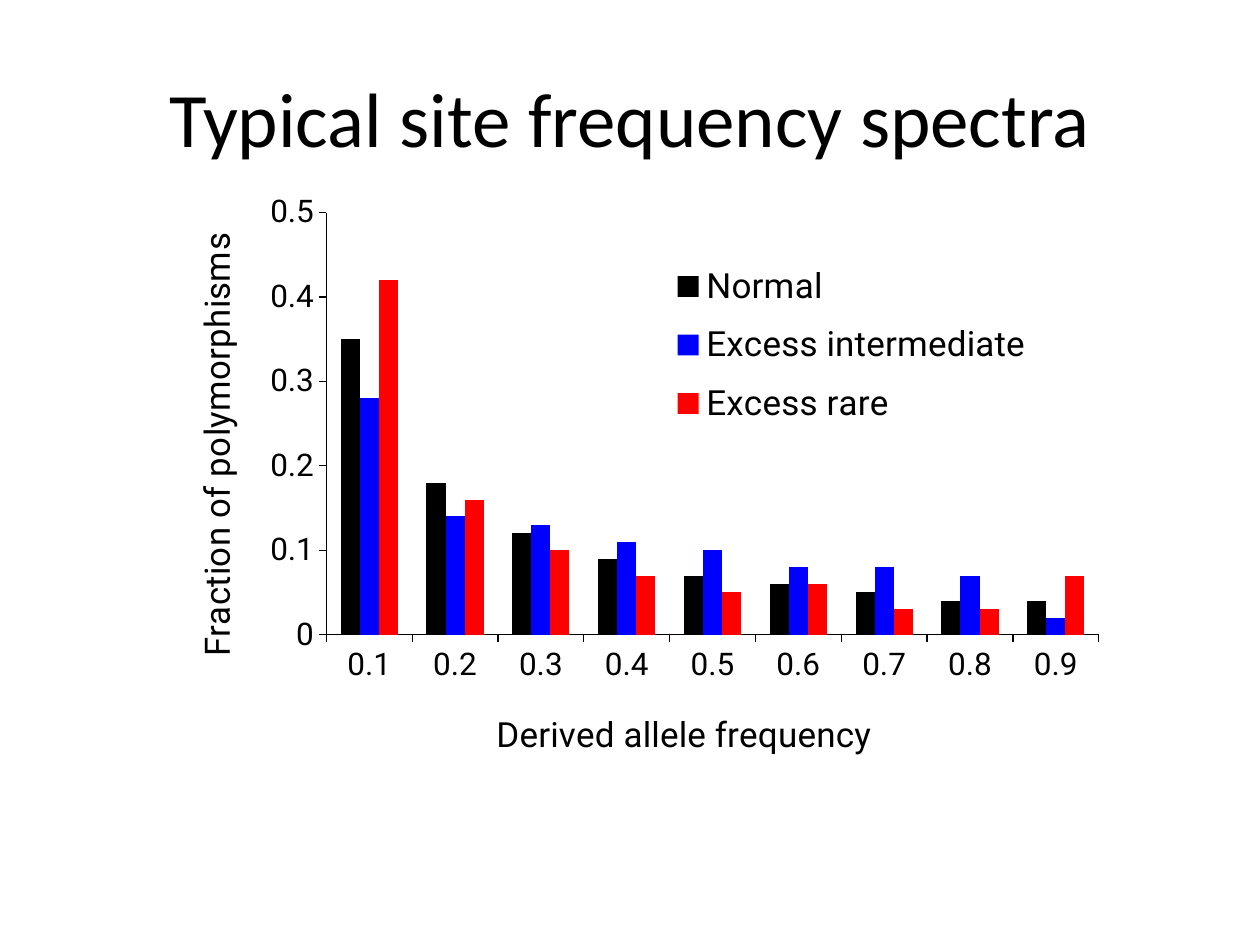
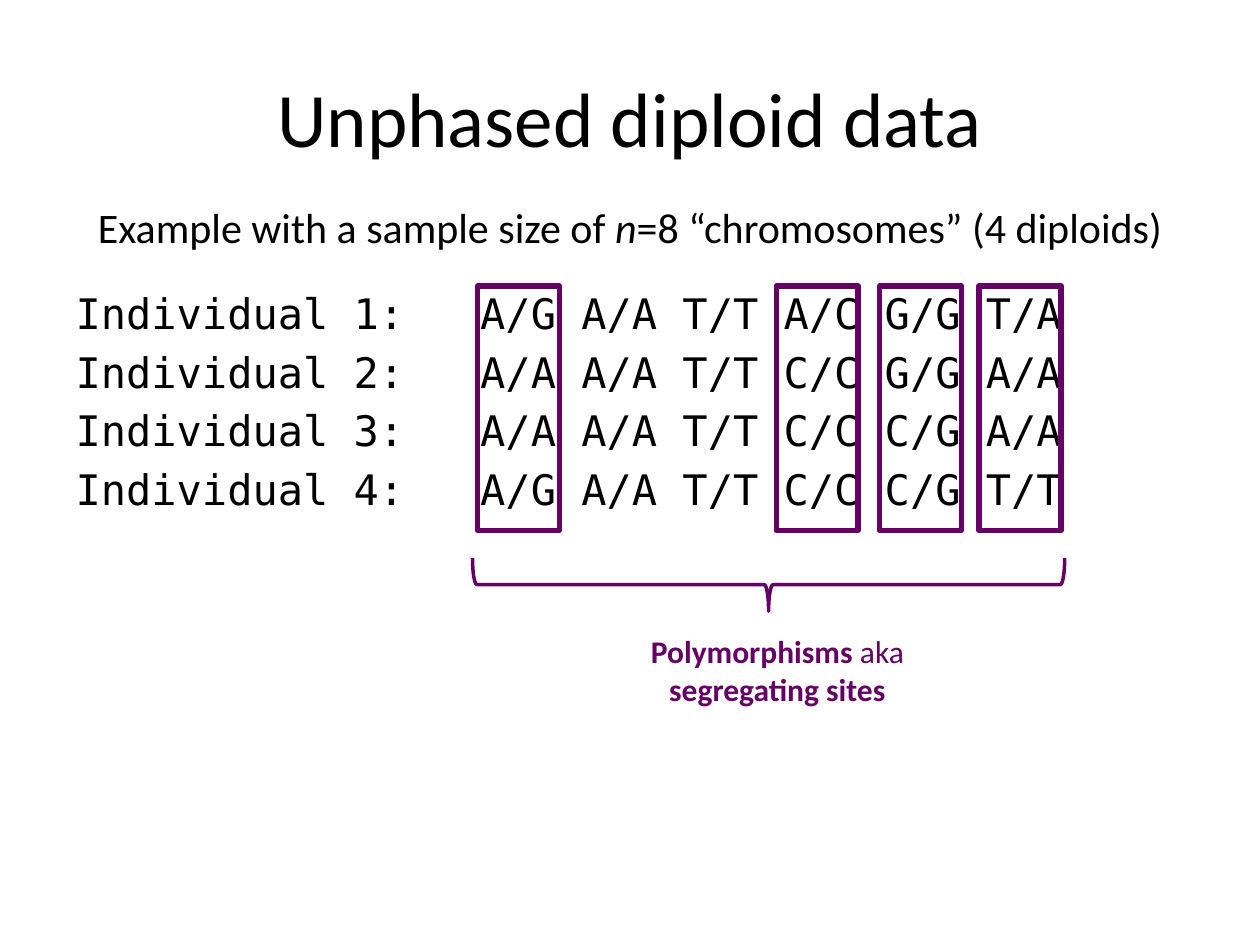
from lxml.etree import SubElement
from pptx import Presentation
from pptx.chart.data import CategoryChartData
from pptx.dml.color import RGBColor
from pptx.enum.chart import XL_CHART_TYPE, XL_LEGEND_POSITION, XL_TICK_MARK
from pptx.enum.shapes import MSO_SHAPE
from pptx.enum.text import MSO_ANCHOR, PP_ALIGN
from pptx.oxml import parse_xml
from pptx.oxml.ns import nsdecls, qn
from pptx.util import Inches, Pt

BLACK, BLUE, RED, PURPLE = "000000", "0000FF", "FF0000", "660066"
TEXT_FONT, CODE_FONT, CHART_FONT = "Calibri", "DejaVu Sans Mono", "Roboto"
CONTENT_LAYOUT, TITLE_ONLY_LAYOUT = 1, 5
CHART_WIDTH, CHART_HEIGHT = 7.64, 4.68
COLUMN_GAP = 28.9  # points added after each label, two characters wide

FREQUENCIES = [f"0.{tenth}" for tenth in range(1, 10)]
SPECTRA = [
    ("Normal", BLACK, (0.35, 0.18, 0.12, 0.09, 0.07, 0.06, 0.05, 0.04, 0.04)),
    ("Excess intermediate", BLUE, (0.28, 0.14, 0.13, 0.11, 0.1, 0.08, 0.08, 0.07, 0.02)),
    ("Excess rare", RED, (0.42, 0.16, 0.1, 0.07, 0.05, 0.06, 0.03, 0.03, 0.07)),
]
GENOTYPES = [
    "A/G A/A T/T A/C G/G T/A",
    "A/A A/A T/T C/C G/G A/A",
    "A/A A/A T/T C/C C/G A/A",
    "A/G A/A T/T C/C C/G T/T",
]
POLYMORPHIC_LEFTS = (3.79, 6.16, 6.98, 7.77)


def color(hex_string):
    return RGBColor.from_string(hex_string)


def place(shape, left, top, width, height):
    shape.left, shape.top = Inches(left), Inches(top)
    shape.width, shape.height = Inches(width), Inches(height)


def set_font(font, name, size, hex_string=BLACK):
    font.name, font.size = name, Pt(size)
    font.color.rgb = color(hex_string)


def add_titled_slide(presentation, layout, title, left, width):
    slide = presentation.slides.add_slide(presentation.slide_layouts[layout])
    place(slide.shapes.title, left, 0.3, width, 1.25)
    frame = slide.shapes.title.text_frame
    frame.text = title
    frame.vertical_anchor = MSO_ANCHOR.MIDDLE
    frame.paragraphs[0].alignment = PP_ALIGN.CENTER
    set_font(frame.paragraphs[0].font, TEXT_FONT, 44)
    return slide


def add_centered_text(slide, box, runs, size, hex_string=BLACK):
    """Add one centred paragraph; each run is (text, bold, italic)."""
    frame = slide.shapes.add_textbox(*map(Inches, box)).text_frame
    frame.word_wrap = True
    paragraph = frame.paragraphs[0]
    paragraph.alignment = PP_ALIGN.CENTER
    set_font(paragraph.font, TEXT_FONT, size, hex_string)
    for text, bold, italic in runs:
        run = paragraph.add_run()
        run.text = text
        run.font.bold, run.font.italic = bold, italic


def add_outline(slide, preset, box, line_width):
    shape = slide.shapes.add_shape(preset, *map(Inches, box))
    shape.shadow.inherit = False
    shape.fill.background()
    shape.line.color.rgb = color(PURPLE)
    shape.line.width = Pt(line_width)
    return shape


def set_layout(element, index, **inches):
    """Fix a chart part at x, y (and w, h), in inches within the chart."""
    for previous in element.findall(qn("c:layout")):
        element.remove(previous)
    target = '<c:layoutTarget val="inner"/>' if element.tag == qn("c:plotArea") else ""
    modes = "".join(f'<c:{key}Mode val="edge"/>' for key in inches if key in "xy")
    values = "".join(
        f'<c:{key} val="{length / (CHART_WIDTH if key in "xw" else CHART_HEIGHT):.4f}"/>'
        for key, length in inches.items())
    element.insert(index, parse_xml(
        f'<c:layout {nsdecls("c")}><c:manualLayout>{target}{modes}{values}'
        "</c:manualLayout></c:layout>"))


def format_axis(axis, title, x, y):
    axis.has_major_gridlines = False
    axis.major_tick_mark = XL_TICK_MARK.OUTSIDE
    axis.minor_tick_mark = XL_TICK_MARK.NONE
    axis.format.line.color.rgb = color(BLACK)
    axis.format.line.width = Pt(0.75)
    set_font(axis.tick_labels.font, CHART_FONT, 18)
    axis.axis_title.text_frame.text = title
    font = axis.axis_title.text_frame.paragraphs[0].font
    set_font(font, CHART_FONT, 20)
    font.bold = False
    set_layout(axis.axis_title._element, 1, x=x, y=y)


def add_spectra_chart(slide):
    data = CategoryChartData()
    data.categories = FREQUENCIES
    for name, _, values in SPECTRA:
        data.add_series(name, values)
    box = map(Inches, (1.18, 1.41, CHART_WIDTH, CHART_HEIGHT))
    chart = slide.shapes.add_chart(XL_CHART_TYPE.COLUMN_CLUSTERED, *box, data).chart
    chart.has_title = False
    set_font(chart.font, CHART_FONT, 20)
    plot = chart.plots[0]
    plot.gap_width, plot.overlap = 150, 0
    plot.vary_by_categories = False
    for series, (_, fill, _) in zip(plot.series, SPECTRA):
        series.format.fill.solid()
        series.format.fill.fore_color.rgb = color(fill)
    format_axis(chart.category_axis, "Derived allele frequency", 2.71, 4.22)
    format_axis(chart.value_axis, "Fraction of polymorphisms", 0.3, 0.42)
    chart.value_axis.minimum_scale, chart.value_axis.maximum_scale = 0, 0.5
    chart.value_axis.major_unit = 0.1
    chart.value_axis.tick_labels.number_format = "General"
    chart.value_axis.tick_labels.number_format_is_linked = False
    chart.has_legend = True
    chart.legend.position = XL_LEGEND_POSITION.RIGHT
    chart.legend.include_in_layout = False
    set_font(chart.legend.font, CHART_FONT, 20)
    set_layout(chart.legend._element, 1, x=3.98, y=0.57, w=3.2, h=1.54)
    set_layout(chart._chartSpace.chart.plotArea, 0, x=1.41, y=0.28, w=6.13, h=3.38)


def fill_genotypes(body):
    """List the individuals, with a widened space before their genotypes."""
    place(body, 0.5, 2.23, 9, 4.95)
    frame = body.text_frame
    for number, sites in enumerate(GENOTYPES, 1):
        paragraph = frame.paragraphs[0] if number == 1 else frame.add_paragraph()
        properties = paragraph._p.get_or_add_pPr()
        properties.set("marL", "0")
        properties.set("indent", "0")
        SubElement(properties, qn("a:buNone"))
        set_font(paragraph.font, CODE_FONT, 24)
        label, gap, genotypes = (paragraph.add_run() for _ in range(3))
        label.text, gap.text, genotypes.text = f"Individual {number}:", " ", sites
        gap._r.get_or_add_rPr().set("spc", str(round(COLUMN_GAP * 100)))


def add_diploid_slide(presentation):
    slide = add_titled_slide(presentation, CONTENT_LAYOUT, "Unphased diploid data", 0, 10)
    fill_genotypes(slide.placeholders[1])
    add_centered_text(slide, (0, 1.55, 10, 0.5), [
        ("Example with a sample size of ", False, False),
        ("n", False, True),
        ("=8 “chromosomes” (4 diploids)", False, False)], 24)
    for left in POLYMORPHIC_LEFTS:
        add_outline(slide, MSO_SHAPE.RECTANGLE, (left, 2.27, 0.65, 1.94), 3)
    add_centered_text(slide, (4.99, 4.97, 2.36, 0.71), [
        ("Polymorphisms", True, False),
        (" aka ", False, False),
        ("segregating sites", True, False)], 18, PURPLE)
    brace = add_outline(slide, MSO_SHAPE.RIGHT_BRACE, (5.89, 2.29, 0.42, 4.7), 2)
    brace.rotation = 90


def main():
    presentation = Presentation()
    presentation.slide_width, presentation.slide_height = Inches(10), Inches(7.5)
    spectra_slide = add_titled_slide(
        presentation, TITLE_ONLY_LAYOUT, "Typical site frequency spectra", 0.5, 9)
    add_spectra_chart(spectra_slide)
    add_diploid_slide(presentation)
    presentation.save("out.pptx")


if __name__ == "__main__":
    main()
